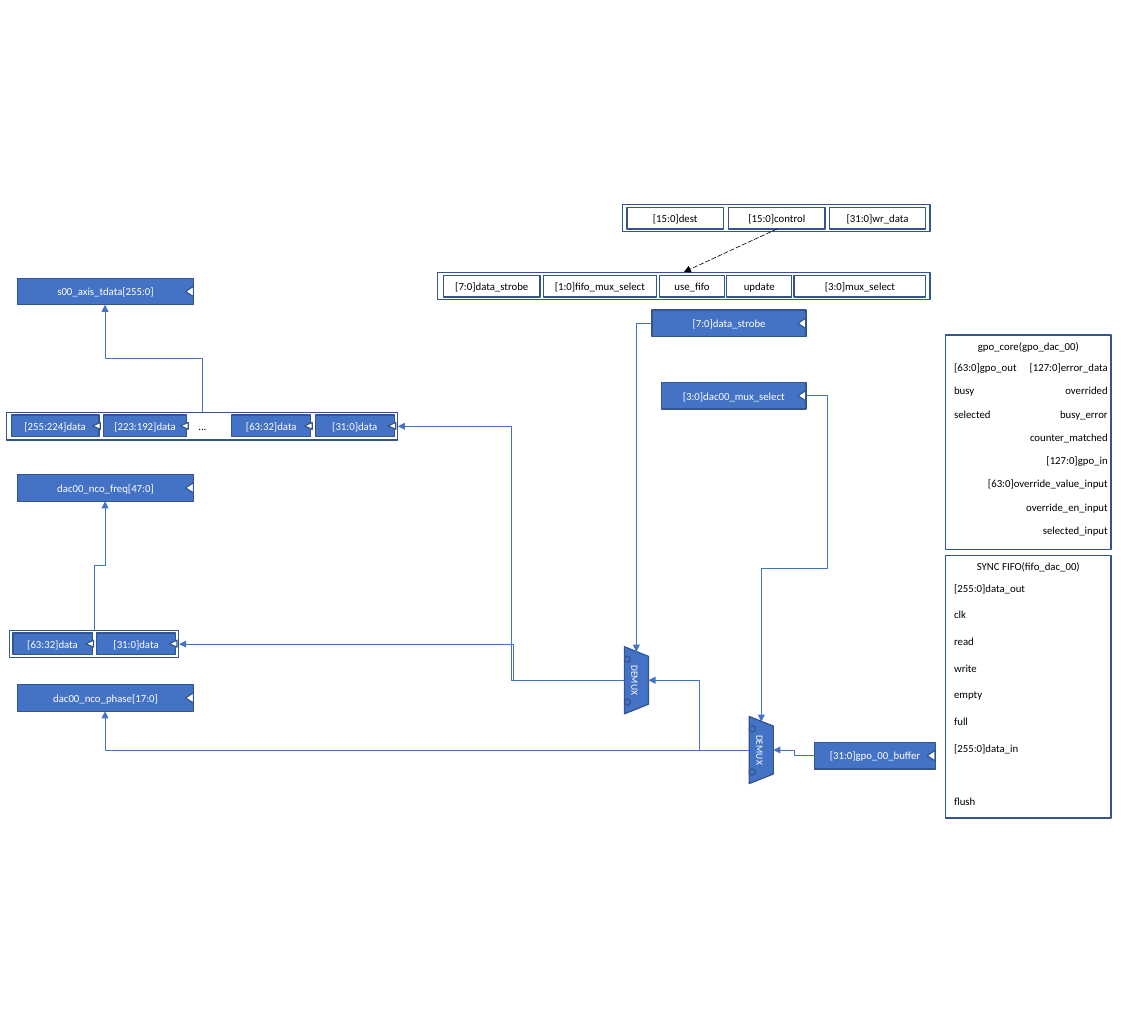
"""Build the DAC register and FIFO routing block diagram."""
from lxml import etree
from pptx import Presentation, util as u
from pptx.dml.color import RGBColor
from pptx.enum import dml, shapes, text
from pptx.oxml.ns import qn

W, H = 13.33, 11.81
BLUE, EDGE, WHITE, BLACK = "4472C4", "325491", "FFFFFF", "000000"
MS, AL = shapes.MSO_SHAPE, text.PP_ALIGN

PANEL_X, PANEL_W = 10.98, 1.92
PANELS = [
    ("gpo_core(gpo_dac_00)", 3.89, 2.49, 0.27,
     ["[63:0]gpo_out", "busy", "selected"],
     ["[127:0]error_data", "overrided", "busy_error", "counter_matched", "[127:0]gpo_in",
      "[63:0]override_value_input", "override_en_input", "selected_input"]),
    ("SYNC FIFO(fifo_dac_00)", 6.45, 3.05, 0.31,
     ["[255:0]data_out", "clk", "read", "write", "empty", "full", "[255:0]data_in", None, "flush"],
     []),
]
REGISTERS = [
    ("s00_axis_tdata[255:0]", 0.2, 3.23, 2.05),
    ("dac00_nco_freq[47:0]", 0.2, 5.51, 2.05),
    ("dac00_nco_phase[17:0]", 0.2, 7.95, 2.05),
    ("[3:0]dac00_mux_select", 7.68, 4.44, 1.68),
    ("[31:0]gpo_00_buffer", 9.46, 8.62, 1.4),
    ("[7:0]data_strobe", 7.57, 3.6, 1.79),
]
FRAMES = [
    ("", 7.23, 2.37, 3.57, False,
     [("[15:0]dest", 7.28, 1.12), ("[15:0]control", 8.46, 1.12), ("[31:0]wr_data", 9.63, 1.12)]),
    ("", 5.08, 3.16, 5.72, False,
     [("[7:0]data_strobe", 5.15, 1.12), ("[1:0]fifo_mux_select", 6.31, 1.31),
      ("use_fifo", 7.66, 0.75), ("update", 8.44, 0.75), ("[3:0]mux_select", 9.22, 1.53)]),
    ("...", 0.08, 4.79, 4.54, True,
     [("[255:224]data", 0.13, 1.02), ("[223:192]data", 1.2, 0.97),
      ("[63:32]data", 2.69, 0.92), ("[31:0]data", 3.66, 0.92)]),
    ("", 0.11, 7.32, 1.96, True,
     [("[63:32]data", 0.15, 0.92), ("[31:0]data", 1.12, 0.92)]),
]
DEMUXES = [(8.84, 8.71), (7.39, 7.9)]
ROUTES = [
    ((8.7, 8.71), (7.53, 7.9), "bentConnector3", [0.5]),
    ((8.7, 8.71), (1.22, 8.26), "bentConnector2", []),
    ((9.46, 8.77), (8.98, 8.71), "bentConnector3", [0.5]),
    ((9.36, 4.59), (8.84, 8.38), "bentConnector4", [-0.47, 0.53]),
    ((7.25, 7.9), (4.62, 4.95), "bentConnector3", [0.5]),
    ((7.25, 7.9), (2.08, 7.48), "bentConnector3", [0.25]),
    ((7.57, 3.76), (7.39, 7.57), "bentConnector2", []),
]
RISERS = [((2.35, 4.79), (1.22, 3.54)), ((1.1, 7.32), (1.22, 5.82))]


def rgb(color):
    return RGBColor.from_string(color)


def write(sp, words, color, align=AL.CENTER, anchor=text.MSO_ANCHOR.MIDDLE, size=9):
    tf = sp.text_frame
    tf.word_wrap = True
    tf.vertical_anchor = anchor
    p = tf.paragraphs[0]
    p.alignment = align
    r = p.add_run()
    r.text = words
    r.font.name, r.font.size = "Calibri", u.Pt(size)
    r.font.color.rgb = rgb(color)


def shape(s, kind, x, y, w, h, fill=None, rot=0):
    sp = s.shapes.add_shape(kind, *map(u.Inches, (x, y, w, h)))
    sp.shadow.inherit = False
    sp.rotation = rot
    if fill:
        sp.fill.solid()
        sp.fill.fore_color.rgb = rgb(fill)
    else:
        sp.fill.background()
    sp.line.color.rgb = rgb(EDGE)
    sp.line.width = u.Pt(1)
    return sp


def register(s, words, x, y, w, h=0.31, mark=0.12):
    write(shape(s, MS.RECTANGLE, x, y, w, h, BLUE), words, WHITE)
    shape(s, MS.ISOSCELES_TRIANGLE, x + w - mark + 0.01, y + (h - 0.09) / 2, mark, 0.09, WHITE, 270)


def panel(s, title, y, h, pitch, left, right):
    write(shape(s, MS.RECTANGLE, PANEL_X, y, PANEL_W, h, WHITE), title, BLACK,
          anchor=text.MSO_ANCHOR.TOP)
    for pins, x, align in ((left, PANEL_X, AL.LEFT), (right, PANEL_X + 0.27, AL.RIGHT)):
        for i, pin in enumerate(pins):
            if pin:
                tb = s.shapes.add_textbox(*map(u.Inches, (x, y + 0.25 + i * pitch, 1.71, 0.25)))
                write(tb, pin, BLACK, align)


def frame(s, words, x, y, w, is_register, cells):
    box = shape(s, MS.RECTANGLE, x, y, w, 0.32)
    if words:
        write(box, words, BLACK)
    for name, cx, cw in cells:
        if is_register:
            register(s, name, cx, y + 0.03, cw, 0.25, 0.08)
        else:
            write(shape(s, MS.RECTANGLE, cx, y + 0.04, cw, 0.25), name, BLACK)


def demux(s, cx, cy):
    sp = shape(s, MS.TRAPEZOID, cx - 0.39, cy - 0.14, 0.78, 0.28, BLUE, 90)
    sp.adjustments[0] = 0.4
    write(sp, "DEMUX", WHITE, size=8)
    for dy in (-0.28, 0.22):
        shape(s, MS.OVAL, cx - 0.14, cy + dy, 0.07, 0.07, BLUE, 90)


def arrow(s, start, end, color=BLUE, preset="line", bends=()):
    cn = s.shapes.add_connector(shapes.MSO_CONNECTOR.STRAIGHT, *map(u.Inches, start + end))
    cn.line.color.rgb = rgb(color)
    cn.line.width = u.Pt(0.5)
    pr = cn._element.spPr
    etree.SubElement(pr.find(qn("a:ln")), qn("a:tailEnd"), type="triangle")
    etree.SubElement(pr, qn("a:effectLst"))
    geom = pr.find(qn("a:prstGeom"))
    geom.set("prst", preset)
    for i, bend in enumerate(bends, 1):
        name = f"adj{i}"
        etree.SubElement(geom.find(qn("a:avLst")), qn("a:gd"), name=name,
                         fmla=f"val {round(bend * 100000)}")
    return cn


def riser(s, start, end):
    (x0, y0), (x1, y1) = start, end
    run, rise = abs(x1 - x0), y0 - y1
    x, y = (x0 + x1 - rise) / 2, (y0 + y1 - run) / 2
    corners = ((x, y + run), (x + rise, y)) if x1 < x0 else ((x, y), (x + rise, y + run))
    cn = arrow(s, *corners, preset="bentConnector3", bends=[0.5])
    cn._element.spPr.find(qn("a:xfrm")).set("rot", str(270 * 60000))


def main():
    prs = Presentation()
    prs.slide_width, prs.slide_height = u.Inches(W), u.Inches(H)
    s = prs.slides.add_slide(prs.slide_layouts[6])
    for build, items in ((panel, PANELS), (register, REGISTERS), (frame, FRAMES), (demux, DEMUXES),
                         (riser, RISERS)):
        for item in items:
            build(s, *item)
    for start, end, preset, bends in ROUTES:
        arrow(s, start, end, preset=preset, bends=bends)
    arrow(s, (9.02, 2.66), (7.94, 3.16), BLACK).line.dash_style = dml.MSO_LINE.LONG_DASH
    prs.save("out.pptx")


if __name__ == "__main__":
    main()
